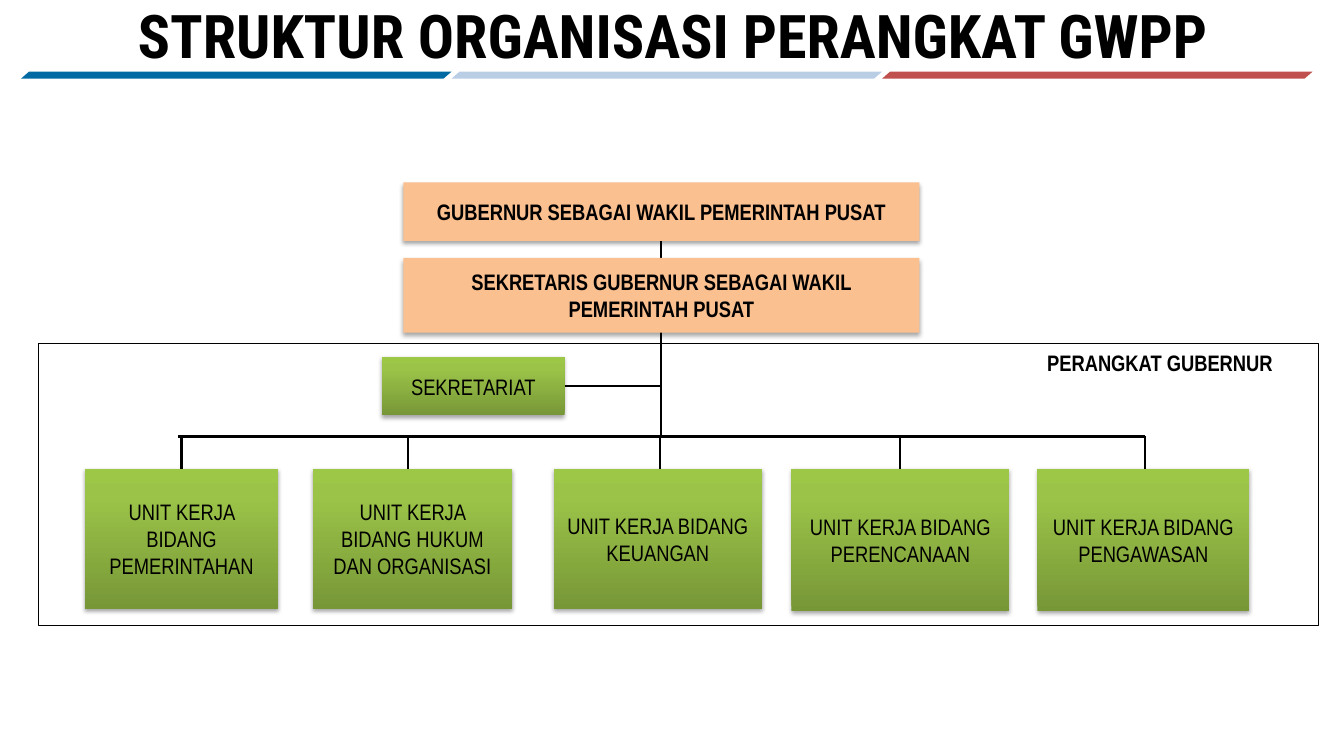
"""Builds the organisation chart slide of the governor's office."""
from dataclasses import dataclass

import lxml.etree
import pptx
import pptx.dml.color
import pptx.enum.dml
import pptx.enum.shapes
import pptx.enum.text
import pptx.oxml
import pptx.oxml.ns
import pptx.util

PX = 9144
INK = "000000"
PEACH = "FAC090"
GREEN = ((0, "779737"), (80, "9BC348"), (100, "9DC746"))
BODY = "Arial Narrow"
SPACE = pptx.oxml.ns.nsdecls("a")
SHAPE = pptx.enum.shapes.MSO_SHAPE
ANCHOR = pptx.enum.text.MSO_ANCHOR
BUS = 433
TRUNK = 656


@dataclass(frozen=True)
class Box:
    left: int
    top: int
    width: int
    height: int
    text: str = ""

    @property
    def mid(self) -> int:
        return self.left + self.width // 2

    @property
    def base(self) -> int:
        return self.top + self.height

    def place(self) -> list[int]:
        return [n * PX for n in (self.left, self.top, self.width, self.height)]


@dataclass(frozen=True)
class Unit:
    box: Box
    drop: int


TITLE = Box(67, -14, 1200, 97, "STRUKTUR ORGANISASI PERANGKAT GWPP")
CHIEF = Box(400, 181, 512, 58, "GUBERNUR SEBAGAI WAKIL PEMERINTAH PUSAT")
DEPUTY = Box(400, 256, 512, 74, "SEKRETARIS GUBERNUR SEBAGAI WAKIL PEMERINTAH PUSAT")
OFFICE = Box(379, 354, 181, 58, "SEKRETARIAT")
FRAME = Box(38, 341, 1270, 279)
LABEL = Box(992, 341, 317, 50, "PERANGKAT GUBERNUR")
BANDS = ("016AA3", "B9CDE5", "C0504D")
UNITS = (
    Unit(Box(84, 465, 192, 139, "UNIT KERJA BIDANG PEMERINTAHAN"), 180),
    Unit(Box(310, 465, 198, 139, "UNIT KERJA BIDANG HUKUM DAN ORGANISASI"), 405),
    Unit(Box(549, 465, 207, 139, "UNIT KERJA BIDANG KEUANGAN"), 655),
    Unit(Box(785, 465, 216, 141, "UNIT KERJA BIDANG PERENCANAAN"), 893),
    Unit(Box(1029, 465, 210, 141, "UNIT KERJA BIDANG PENGAWASAN"), 1136),
)


def tint(code: str) -> pptx.dml.color.RGBColor:
    """Turn a hex string into a colour."""
    return pptx.dml.color.RGBColor.from_string(code)


def shade(host, blur: int, gap: int, alpha: int) -> None:
    """Add a black shadow that falls straight down."""
    for old in host.findall(pptx.oxml.ns.qn("a:effectLst")):
        host.remove(old)
    host.append(pptx.oxml.parse_xml(
        f'<a:effectLst {SPACE}><a:outerShdw blurRad="{blur}" dist="{gap}" '
        f'dir="5400000" rotWithShape="0"><a:srgbClr val="{INK}">'
        f'<a:alpha val="{alpha * 1000}"/></a:srgbClr></a:outerShdw></a:effectLst>'))


def blend(shape) -> None:
    """Fill a shape with the green gradient, dark at the bottom."""
    shape.fill.gradient()
    shape.fill.gradient_angle = 90
    stops = shape._element.spPr.find(".//" + pptx.oxml.ns.qn("a:gsLst"))
    for old in list(stops):
        stops.remove(old)
    for point, code in GREEN:
        stops.append(pptx.oxml.parse_xml(
            f'<a:gs {SPACE} pos="{point * 1000}"><a:srgbClr val="{code}"/></a:gs>'))


def write(shape, text: str, bold: bool, size: int = 16, face: str = BODY) -> None:
    """Put one centred paragraph into a shape."""
    frame = shape.text_frame
    frame.word_wrap = True
    frame.text = text
    para = frame.paragraphs[0]
    para.alignment = pptx.enum.text.PP_ALIGN.CENTER
    para.font.size = pptx.util.Pt(size)
    para.font.name = face
    para.font.bold = bold
    para.font.color.rgb = tint(INK)


def block(slide, box: Box, fill: str = "", kind=SHAPE.RECTANGLE):
    """Draw a plain shape without line or shadow."""
    shape = slide.shapes.add_shape(kind, *box.place())
    shape.shadow.inherit = False
    shape.line.fill.background()
    if fill:
        shape.fill.solid()
        shape.fill.fore_color.rgb = tint(fill)
    else:
        shape.fill.background()
    return shape


def card(slide, box: Box, fill: str = ""):
    """Draw a labelled box, green and regular unless a fill makes it bold."""
    shape = block(slide, box, fill)
    if not fill:
        blend(shape)
    shade(shape._element.spPr, 40000, 23000, 35)
    shape.text_frame.vertical_anchor = ANCHOR.MIDDLE
    write(shape, box.text, bool(fill))
    return shape


def wire(slide, start: tuple[int, int], end: tuple[int, int]):
    """Draw a straight black line."""
    ends = [n * PX for n in start + end]
    line = slide.shapes.add_connector(pptx.enum.shapes.MSO_CONNECTOR.STRAIGHT, *ends)
    line.line.color.rgb = tint(INK)
    line.line.width = pptx.util.Pt(1.5)
    lxml.etree.SubElement(line._element.spPr, pptx.oxml.ns.qn("a:effectLst"))
    return line


def head(slide) -> None:
    """Format the title and draw the three bands under it."""
    title = slide.shapes.title
    title.left, title.top, title.width, title.height = TITLE.place()
    write(title, TITLE.text, True, 43, "Roboto Condensed")
    frame = title.text_frame
    frame.auto_size = pptx.enum.text.MSO_AUTO_SIZE.NONE
    frame.vertical_anchor = ANCHOR.MIDDLE
    shade(frame.paragraphs[0].runs[0]._r.get_or_add_rPr(), 38100, 38100, 43)
    for i, code in enumerate(BANDS):
        band = block(slide, Box(21 + 427 * i, 71, 427, 7), code, SHAPE.PARALLELOGRAM)
        band.adjustments[0] = 1.14


def chart(slide) -> None:
    """Draw the boxes, the lines that join them and the frame."""
    chief = card(slide, CHIEF, PEACH)
    trunk = wire(slide, (TRUNK, CHIEF.base), (TRUNK, BUS))
    trunk.begin_connect(chief, 2)
    card(slide, DEPUTY, PEACH)
    office = card(slide, OFFICE)
    level = OFFICE.top + OFFICE.height // 2
    side = wire(slide, (OFFICE.left + OFFICE.width, level), (TRUNK, level))
    side.begin_connect(office, 3)
    wire(slide, (177, BUS), (UNITS[-1].drop, BUS))
    for unit in UNITS:
        shape = card(slide, unit.box)
        line = wire(slide, (unit.drop, BUS), (unit.drop, unit.box.top))
        if unit.drop == unit.box.mid:
            line.end_connect(shape, 0)
    frame = block(slide, FRAME)
    frame.line.color.rgb = tint(INK)
    frame.line.width = pptx.util.Pt(0.5)
    write(slide.shapes.add_textbox(*LABEL.place()), LABEL.text, True)


def main() -> None:
    """Build the slide and save it."""
    deck = pptx.Presentation()
    deck.slide_width, deck.slide_height = 1333 * PX, 750 * PX
    slide = deck.slides.add_slide(deck.slide_layouts[5])
    head(slide)
    chart(slide)
    deck.save("out.pptx")


if __name__ == "__main__":
    main()
